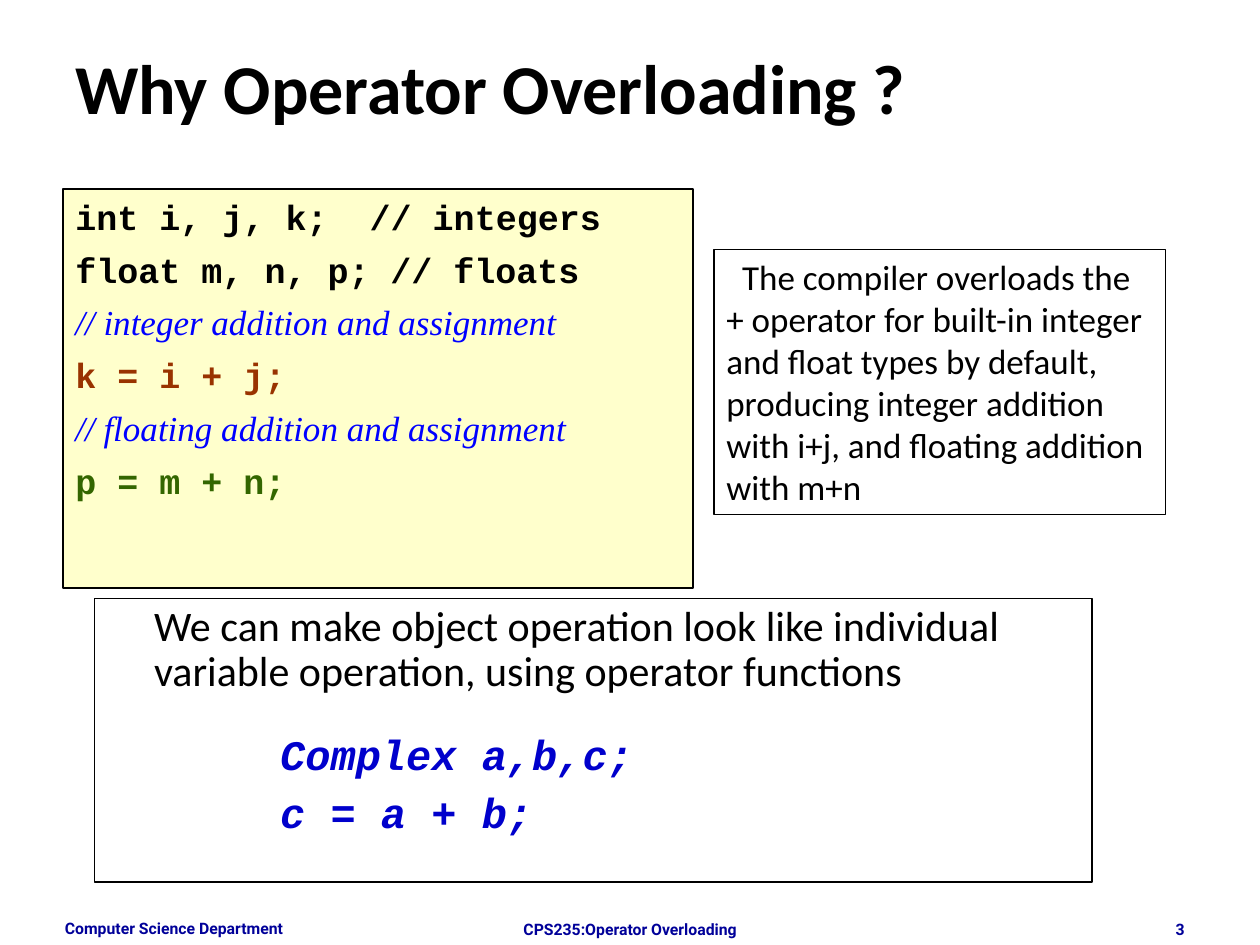
from pptx import Presentation
from pptx.dml.color import RGBColor
from pptx.enum.shapes import MSO_SHAPE
from pptx.enum.text import MSO_ANCHOR, PP_ALIGN
from pptx.oxml.ns import qn
from pptx.util import Pt
from lxml import etree

RECTANGLE = MSO_SHAPE.RECTANGLE
TOP, MIDDLE = MSO_ANCHOR.TOP, MSO_ANCHOR.MIDDLE
LEFT, CENTER, RIGHT = PP_ALIGN.LEFT, PP_ALIGN.CENTER, PP_ALIGN.RIGHT

BLACK, NAVY, BLUE = "000000", "000099", "0000FF"
HEADING, CODE, COMMENT, FOOTER = "Calibri", "Courier New", "Times New Roman", "Roboto"


def color(hex_string):
    return RGBColor.from_string(hex_string)


class Deck:
    def __init__(self, width, height):
        self.presentation = Presentation()
        self.presentation.slide_width = Pt(width)
        self.presentation.slide_height = Pt(height)
        self.slide = self.presentation.slides.add_slide(self.presentation.slide_layouts[6])

    def frame(self, shape, anchor):
        text_frame = shape.text_frame
        text_frame.word_wrap = True
        text_frame.vertical_anchor = anchor
        return text_frame

    def label(self, place, anchor=TOP):
        box = self.slide.shapes.add_textbox(*map(Pt, place))
        return self.frame(box, anchor)

    def panel(self, place, fill=None):
        """Add an outlined rectangle and return its text frame."""
        panel = self.slide.shapes.add_shape(RECTANGLE, *map(Pt, place))
        panel.shadow.inherit = False
        if fill:
            panel.fill.solid()
            panel.fill.fore_color.rgb = color(fill)
        else:
            panel.fill.background()
        panel.line.color.rgb = color(BLACK)
        panel.line.width = Pt(0.75)
        return self.frame(panel, TOP)

    def add_line(self, text_frame, text, font, size, hex_string=BLACK, bold=False, italic=False,
                 align=LEFT, before=0, spacing=1, margin=0, indent=0, tab=None):
        """Fill the first paragraph if it is empty, otherwise append one."""
        first = text_frame.paragraphs[0]
        paragraph = text_frame.add_paragraph() if first.runs else first
        paragraph.text = text
        paragraph.alignment = align
        paragraph.space_before = Pt(before)
        paragraph.line_spacing = spacing
        properties = paragraph._p.get_or_add_pPr()
        properties.set("marL", str(Pt(margin)))
        properties.set("indent", str(Pt(indent)))
        if tab:
            stops = etree.SubElement(properties, qn("a:tabLst"))
            etree.SubElement(stops, qn("a:tab"), pos=str(Pt(tab)), algn="l")
        for run in paragraph.runs:
            run.font.name = font
            run.font.size = Pt(size)
            run.font.bold = bold
            run.font.italic = italic
            run.font.color.rgb = color(hex_string)


def main():
    deck = Deck(720, 540)

    for text, place, align, anchor in (
        ("Computer Science Department", (30, 520.5, 168, 19.5), LEFT, MIDDLE),
        ("CPS235:Operator Overloading", (246, 522, 228, 7), CENTER, TOP),
        ("3", (516, 522, 168, 7), RIGHT, TOP),
    ):
        deck.add_line(deck.label(place, anchor), text, FOOTER, 9, NAVY, bold=True, align=align)

    title = deck.label((36, 21.5, 648, 56), MIDDLE)
    deck.add_line(title, "Why Operator Overloading ?", HEADING, 40, bold=True)

    listing = deck.panel((36, 108, 360, 228), "FFFFCC")
    for number, (line, hex_string) in enumerate((
        ("int i, j, k;  // integers", BLACK),
        ("float m, n, p;\t// floats", BLACK),
        ("// integer addition and assignment", BLUE),
        ("k = i + j;", "993300"),
        ("// floating addition and assignment", BLUE),
        ("p = m + n;", "336600"),
    )):
        is_comment = line.startswith("//")
        deck.add_line(listing, line, COMMENT if is_comment else CODE, 20, hex_string,
                      bold=not is_comment, italic=is_comment,
                      before=6.2 if number else 0, tab=171)

    compiler_note = deck.panel((408, 142.5, 258, 151.5))
    deck.add_line(compiler_note,
                  "The compiler overloads the + operator for built-in integer and float types "
                  "by default, producing integer addition with i+j, and floating addition with m+n",
                  HEADING, 20, indent=9)

    objects = deck.panel((54, 342, 570, 162))
    deck.add_line(objects,
                  "We can make object operation look like individual variable operation, "
                  "using operator functions",
                  HEADING, 24, spacing=0.9, margin=27)
    for line, before in (("Complex a,b,c;", 22), ("c = a + b;", 7.5)):
        deck.add_line(objects, line, CODE, 24, "0000CC", bold=True, italic=True,
                      before=before, spacing=0.9, margin=99)

    deck.presentation.save("out.pptx")


if __name__ == "__main__":
    main()
